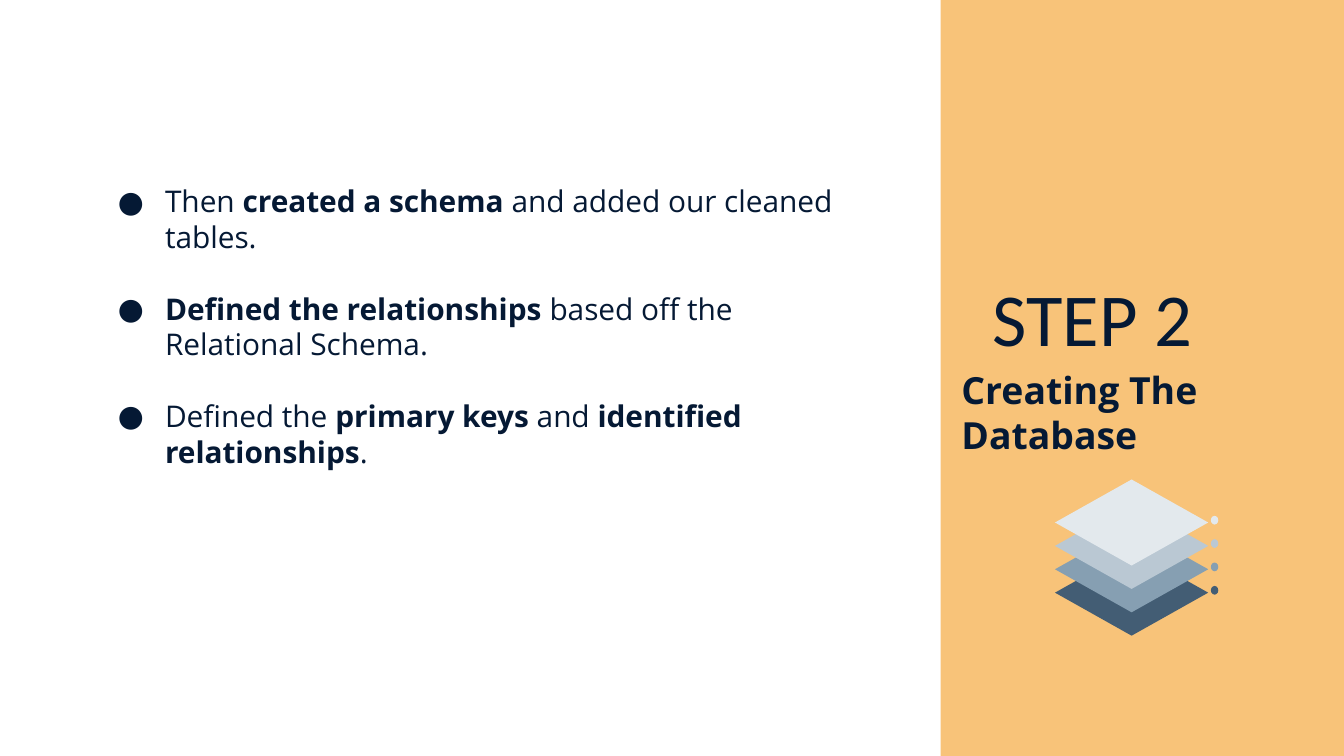
from lxml import etree
from pptx import Presentation
from pptx import util as u
from pptx.dml.color import RGBColor
from pptx.enum import shapes, text
from pptx.oxml.ns import qn

COLORS = {
    "panel": "F8C379",
    "ink": "051934",
    "layers": ["435D74", "869FB2", "BAC8D3", "E3E9ED"],
}
WIDTH = u.Inches(10)
HEIGHT = WIDTH * 9 // 16
COLUMNS, ROWS = 100, 56.25

STEPS = [
    [("Then ", False), ("created a schema ", True), ("and added our cleaned tables.", False)],
    [("Defined the relationships ", True), ("based off the Relational Schema.", False)],
    [("Defined the ", False), ("primary keys ", True), ("and ", False),
     ("identified relationships", True), (".", False)],
]


def place(column, row, columns, rows):
    """Turn grid columns and rows into slide lengths."""
    return (round(WIDTH * column / COLUMNS), round(HEIGHT * row / ROWS),
            round(WIDTH * columns / COLUMNS), round(HEIGHT * rows / ROWS))


def add_filled(slide, kind, cell, color):
    """Add a flat preset shape without an outline."""
    shape = slide.shapes.add_shape(kind, *place(*cell))
    shape.shadow.inherit = False
    shape.fill.solid()
    shape.fill.fore_color.rgb = RGBColor.from_string(color)
    shape.line.fill.background()


def add_bullet(paragraph, font):
    """Give a paragraph a round bullet with a hanging indent."""
    properties = paragraph._p.get_or_add_pPr()
    properties.set("marL", str(u.Inches(0.5)))
    properties.set("indent", str(u.Inches(-0.35)))
    etree.SubElement(properties, qn("a:buFont")).set("typeface", font)
    etree.SubElement(properties, qn("a:buChar")).set("char", "●")


def add_text(slide, cell, paragraphs, *, size, font="Open Sans", align=text.PP_ALIGN.LEFT,
             anchor=text.MSO_ANCHOR.TOP, spacing=1.0, gap=0, bullets=False):
    """Write paragraphs of (words, bold) runs in a wrapped text box."""
    frame = slide.shapes.add_textbox(*place(*cell)).text_frame
    frame.word_wrap = True
    frame.vertical_anchor = anchor
    frame.margin_left = frame.margin_right = u.Inches(0.1)
    frame.margin_top = frame.margin_bottom = u.Inches(0.1)
    for index, runs in enumerate(paragraphs):
        paragraph = frame.paragraphs[0] if index == 0 else frame.add_paragraph()
        if bullets:
            add_bullet(paragraph, font)
        paragraph.alignment = align
        paragraph.line_spacing = spacing
        if index:
            paragraph.space_before = u.Pt(gap)
        for words, bold in runs:
            run = paragraph.add_run()
            run.text = words
            run.font.name = font
            run.font.size = u.Pt(size)
            run.font.bold = bold
            run.font.color.rgb = RGBColor.from_string(COLORS["ink"])


def add_layers(slide, column, bottom_row, step):
    """Stack the database layers upwards, each with its dot."""
    for level, color in enumerate(COLORS["layers"]):
        row = bottom_row - level * step
        add_filled(slide, shapes.MSO_SHAPE.DIAMOND, (column, row, 11.4, 6.4), color)
        add_filled(slide, shapes.MSO_SHAPE.OVAL, (column + 11.6, row + 2.7, 0.55, 0.65), color)


def main():
    """Build the slide and save it."""
    deck = Presentation()
    deck.slide_width, deck.slide_height = WIDTH, HEIGHT
    slide = deck.slides.add_slide(deck.slide_layouts[6])
    add_filled(slide, shapes.MSO_SHAPE.RECTANGLE, (70, 0, 30, ROWS), COLORS["panel"])
    add_text(slide, (62.2, 19.4, 27.5, 8.6), [[("STEP 2", False)]], size=40, font="Calibri",
             align=text.PP_ALIGN.RIGHT, anchor=text.MSO_ANCHOR.BOTTOM, spacing=0.9)
    add_text(slide, (70.55, 26.3, 31.6, 5.9), [[("Creating The Database", True)]], size=20)
    add_text(slide, (6.3, 12.6, 57.3, 24), STEPS, size=16, gap=19.2, bullets=True)
    add_layers(slide, 78.5, 40.9, 1.74)
    deck.save("out.pptx")


if __name__ == "__main__":
    main()
